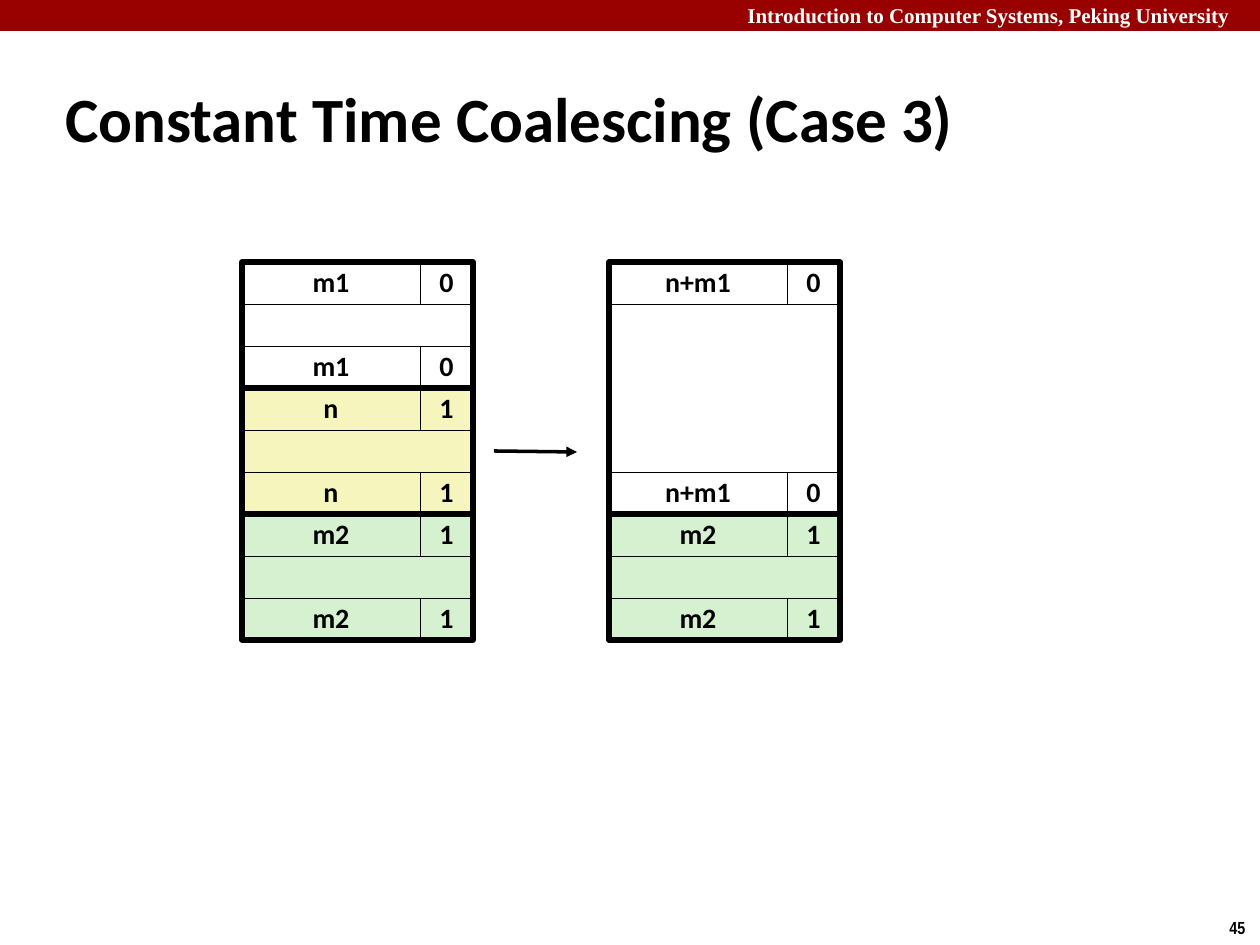
from pptx import Presentation
from pptx.dml.color import RGBColor
from pptx.enum.shapes import MSO_CONNECTOR as CONN, MSO_SHAPE as SHAPE
from pptx.enum.text import MSO_ANCHOR as ANCHOR, PP_ALIGN as ALIGN
from pptx.oxml.ns import qn
from pptx.util import Emu, Pt
from lxml import etree

COLORS = {
    "banner": "990000",
    "white": "FFFFFF",
    "black": "000000",
    "yellow": "F6F5BD",
    "green": "D5F1CF",
}
ROW_H = 42
SIZE_W = 178
FLAG_W = 53
BLOCK_W = SIZE_W + FLAG_W
HEAP_TOP = 262

HEAP_BEFORE = [
    ("m1", "0", 3, "white"),
    ("n", "1", 3, "yellow"),
    ("m2", "1", 3, "green"),
]
HEAP_AFTER = [
    ("n+m1", "0", 6, "white"),
    ("m2", "1", 3, "green"),
]


def px(n):
    return Emu(round(n * 914400 / 126))


def rgb(name):
    return RGBColor.from_string(COLORS[name])


def set_text(tf, text, size, font="Calibri", color="black"):
    tf.text = text
    p = tf.paragraphs[0]
    p.font.size = Pt(size)
    p.font.name = font
    p.font.bold = True
    p.font.color.rgb = rgb(color)
    return p


def add_text(slide, box, text, size, wrap=True, anchor=ANCHOR.TOP, **style):
    tf = slide.shapes.add_textbox(*map(px, box)).text_frame
    tf.word_wrap = wrap
    tf.vertical_anchor = anchor
    set_text(tf, text, size, **style)


def add_rect(slide, box, fill=None, line=None):
    sp = slide.shapes.add_shape(SHAPE.RECTANGLE, *map(px, box))
    sp.shadow.inherit = False
    if fill:
        sp.fill.solid()
        sp.fill.fore_color.rgb = rgb(fill)
    else:
        sp.fill.background()
    if line:
        sp.line.color.rgb = rgb("black")
        sp.line.width = Pt(line)
    else:
        sp.line.fill.background()
    return sp


def add_cell(slide, box, text, fill):
    tf = add_rect(slide, box, fill, 0.25).text_frame
    tf.word_wrap = False
    tf.vertical_anchor = ANCHOR.MIDDLE
    p = set_text(tf, text, 16)
    p.alignment = ALIGN.CENTER
    p.line_spacing = 0.98


def add_block(slide, x, y, size, flag, rows, fill):
    height = rows * ROW_H
    for tag_y in (y, y + height - ROW_H):
        add_cell(slide, (x, tag_y, SIZE_W, ROW_H), size, fill)
        add_cell(slide, (x + SIZE_W, tag_y, FLAG_W, ROW_H), flag, fill)
    add_rect(slide, (x, y + ROW_H, BLOCK_W, height - 2 * ROW_H), fill, 0.25)
    add_rect(slide, (x, y, BLOCK_W, height), line=3)


def add_heap(slide, x, blocks):
    y = HEAP_TOP
    for size, flag, rows, fill in blocks:
        add_block(slide, x, y, size, flag, rows, fill)
        y += rows * ROW_H


def add_arrow(slide, x1, y1, x2, y2):
    line = slide.shapes.add_connector(CONN.STRAIGHT, *map(px, (x1, y1, x2, y2)))
    line.line.color.rgb = rgb("black")
    line.line.width = Pt(2)
    etree.SubElement(line.line._get_or_add_ln(), qn("a:tailEnd"), type="triangle")
    etree.SubElement(line._element.spPr, qn("a:effectLst"))


def main():
    prs = Presentation()
    prs.slide_width, prs.slide_height = px(1260), px(945)
    slide = prs.slides.add_slide(prs.slide_layouts[6])

    add_rect(slide, (0, 0, 1260, 31), "banner")
    add_text(slide, (735, -4, 534, 38),
             "Introduction to Computer Systems, Peking University", 12,
             font="Times New Roman", color="white")
    add_text(slide, (53, 78, 1155, 79), "Constant Time Coalescing (Case 3)", 36,
             anchor=ANCHOR.MIDDLE)
    add_text(slide, (1217, 911, 43, 34), "45", 10, wrap=False, font="Arial Narrow")

    add_heap(slide, 242, HEAP_BEFORE)
    add_heap(slide, 609, HEAP_AFTER)
    add_arrow(slide, 494, 451, 577, 452)

    prs.save("out.pptx")


if __name__ == "__main__":
    main()
